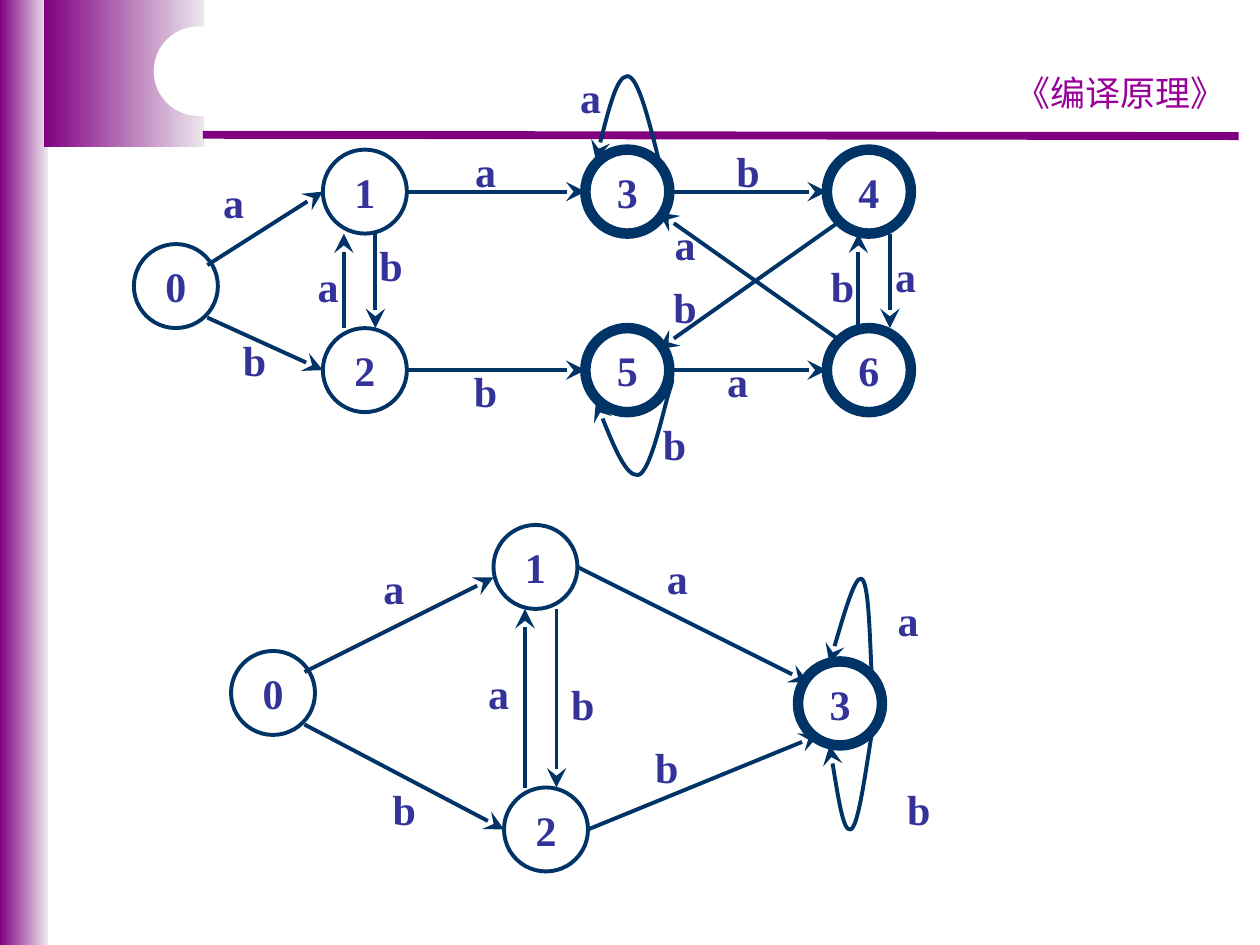
from pptx import Presentation
from pptx.dml.color import RGBColor
from pptx.enum.shapes import MSO_CONNECTOR, MSO_SHAPE
from pptx.enum.text import MSO_ANCHOR, MSO_AUTO_SIZE, PP_ALIGN
from pptx.oxml.ns import qn
from pptx.util import Inches, Pt
from lxml.etree import SubElement

UNIT = 1 / 12
NODE = (8, 8)
LABEL = (7, 6)
INK, TEXT, PURPLE = "003366", "333399", "800080"
BANDS = [(0, 0, 0.38, 7.5), (0.35, 0, 1.27, 1.17)]
NOTCH = (1.22, 0.21, 3.62, 0.71)
HEADER = ("《编译原理》", (7.91, 0.52, 1.97, 0.43))

GRAPHS = [
    {
        "origin": (1 / 16, 3 / 16),
        "nodes": {"0": (12, 21), "1": (30, 12), "2": (30, 29), "3": (55, 12),
                  "5": (55, 29), "4": (78, 12), "6": (78, 29)},
        "final": "3456",
        "edges": [(19, 23, 30, 16), (38, 16, 55, 16), (63, 16, 78, 16),
                  (19, 28, 30, 33), (38, 33, 55, 33), (63, 33, 78, 33),
                  (35, 20, 35, 29), (32, 29, 32, 20), (81, 29, 81, 20),
                  (84, 20, 84, 29), (79, 19, 62, 31), (79, 30, 62, 18)],
        "labels": {"a": [(18, 14), (42, 11), (66, 31), (27, 22), (82, 21), (61, 18), (52, 4)],
                   "b": [(67, 11), (20, 29), (42, 32), (33, 20), (76, 22), (61, 24), (60, 37)]},
        "loops": [
            [(62, 13), (61, 9), (60, 5), (59, 5), (58, 5), (57, 9), (56, 13)],
            [(63, 34), (63.2, 33.75), (63.5, 33.5), (63, 35), (62.5, 36.5),
             (61.2, 42.9), (60, 43), (58.9, 43.1), (57.4, 39.6), (56, 36)],
        ],
    },
    {
        "origin": (0, 0),
        "nodes": {"0": (22, 62), "1": (47, 50), "2": (48, 75), "3": (76, 63)},
        "final": "3",
        "edges": [(29, 64, 47, 55), (55, 54, 77, 65), (29, 69, 48, 79),
                  (53, 58, 53, 75), (50, 75, 50, 58), (56, 79, 78, 70)],
        "labels": {"a": [(34, 53), (83, 56), (44, 63), (61, 52)],
                   "b": [(35, 74), (84, 74), (52, 64), (60, 70)]},
        "loops": [
            [(83, 64), (82.8, 59.6), (82.7, 55.3), (82, 55.1),
             (81.4, 55), (80.2, 59), (79, 63.2)],
            [(83, 70), (82.3, 74.4), (81.7, 78.8), (81, 79),
             (80.3, 79.2), (79.7, 75.1), (79, 71)],
        ],
    },
]


def rgb(value):
    return RGBColor.from_string(value)


def inches(values):
    return [Inches(v) for v in values]


def place(origin, point):
    return inches(o + v * UNIT for o, v in zip(origin, point))


def size(cells):
    return inches(v * UNIT for v in cells)


def stroke(sp, color, width, arrow=False):
    sp.line.color.rgb = rgb(color)
    sp.line.width = Pt(width)
    if arrow:
        SubElement(sp.element.spPr.find(qn("a:ln")), qn("a:tailEnd"),
                   type="stealth", w="lg", len="lg")


def write(sp, text, font, points, color, bold=False):
    tf = sp.text_frame
    tf.text = text
    tf.vertical_anchor = MSO_ANCHOR.MIDDLE
    p = tf.paragraphs[0]
    p.alignment = PP_ALIGN.CENTER
    p.font.name, p.font.size, p.font.bold = font, Pt(points), bold
    p.font.color.rgb = rgb(color)
    return tf


def mark(sp, text):
    write(sp, text, "Times New Roman", 24, TEXT, True).word_wrap = False


def connect(s, start, end, color, width, arrow=False):
    line = s.shapes.add_connector(MSO_CONNECTOR.STRAIGHT, *start, *end)
    stroke(line, color, width, arrow)
    SubElement(line.element.spPr, qn("a:effectLst"))


def add_curve(s, points):
    builder = s.shapes.build_freeform(*points[0])
    builder.add_line_segments(points[1:], close=False)
    sp = builder.convert_to_shape()
    outline = next(sp.element.iter(qn("a:path")))
    segments = outline.findall(qn("a:lnTo"))
    for i in range(0, len(segments), 3):
        bezier = SubElement(outline, qn("a:cubicBezTo"))
        for segment in segments[i:i + 3]:
            bezier.append(segment[0])
            outline.remove(segment)
    return sp


def decorate(s):
    for box in BANDS:
        band = s.shapes.add_shape(MSO_SHAPE.RECTANGLE, *inches(box))
        band.shadow.inherit = False
        band.line.fill.background()
        band.fill.gradient()
        band.fill.gradient_angle = 0
        for stop, color, pos in zip(band.fill.gradient_stops, (PURPLE, "EDE7ED"), (0, 1)):
            stop.color.rgb = rgb(color)
            stop.position = pos
    connect(s, inches((1.61, 1.07)), inches((9.83, 1.08)), PURPLE, 4.5)
    notch = s.shapes.add_shape(MSO_SHAPE.ROUNDED_RECTANGLE, *inches(NOTCH))
    notch.adjustments[0] = 0.5
    notch.shadow.inherit = False
    notch.fill.solid()
    notch.fill.fore_color.rgb = rgb("FFFFFF")
    notch.line.fill.background()
    text, box = HEADER
    title = s.shapes.title
    title.left, title.top, title.width, title.height = inches(box)
    tf = write(title, text, "Comic Neue", 20, "990099")
    tf.auto_size = MSO_AUTO_SIZE.NONE


def draw(s, graph):
    origin = graph["origin"]
    for name, point in graph["nodes"].items():
        node = s.shapes.add_shape(MSO_SHAPE.OVAL, *place(origin, point), *size(NODE))
        node.shadow.inherit = False
        node.fill.background()
        stroke(node, INK, 6 if name in graph["final"] else 2.25)
        mark(node, name)
    for edge in graph["edges"]:
        connect(s, place(origin, edge[:2]), place(origin, edge[2:]), INK, 2.25, True)
    for text, points in graph["labels"].items():
        for point in points:
            mark(s.shapes.add_textbox(*place(origin, point), *size(LABEL)), text)
    for points in graph["loops"]:
        loop = add_curve(s, [place(origin, point) for point in points])
        loop.shadow.inherit = False
        loop.fill.background()
        stroke(loop, INK, 2.25, True)


def main():
    prs = Presentation()
    prs.slide_width, prs.slide_height = inches((10, 7.5))
    s = prs.slides.add_slide(prs.slide_layouts[5])
    decorate(s)
    for graph in GRAPHS:
        draw(s, graph)
    prs.save("out.pptx")


if __name__ == "__main__":
    main()
